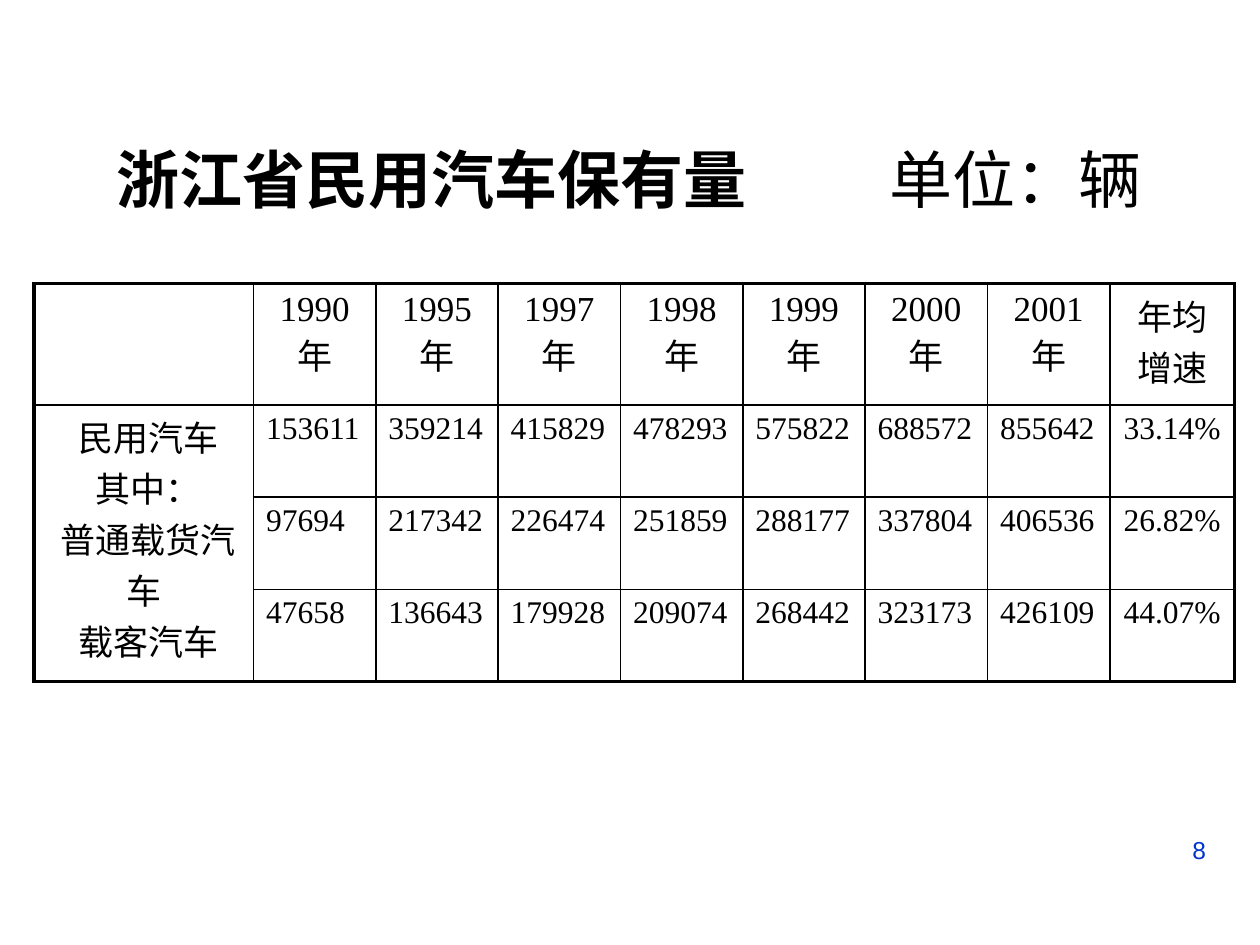
from lxml import etree
from pptx import Presentation
from pptx.dml.color import RGBColor
from pptx.enum.text import PP_ALIGN
from pptx.oxml.ns import qn
from pptx.util import Inches, Pt

BLACK = RGBColor(0, 0, 0)
WHITE = RGBColor(255, 255, 255)
BLUE = RGBColor(0x00, 0x33, 0xCC)
LEFT, CENTER, RIGHT = PP_ALIGN.LEFT, PP_ALIGN.CENTER, PP_ALIGN.RIGHT

YEARS = [1990, 1995, 1997, 1998, 1999, 2000, 2001]
LABEL = "民用汽车\n其中：\n普通载货汽车\n载客汽车"
ROWS = [
    [""] + [f"{year}年" for year in YEARS] + ["年均\n增速"],
    [LABEL, 153611, 359214, 415829, 478293, 575822, 688572, 855642, "33.14%"],
    ["", 97694, 217342, 226474, 251859, 288177, 337804, 406536, "26.82%"],
    ["", 47658, 136643, 179928, 209074, 268442, 323173, 426109, "44.07%"],
]
WIDTHS = [1.74] + [0.97] * len(YEARS) + [0.99]
HEIGHTS = [0.96, 0.73, 0.73, 0.73]


def style(font, name, size, color, bold=False):
    """Set the look of a font."""
    font.name, font.size, font.bold = name, Pt(size), bold
    font.color.rgb = color


def add_box(slide, left, top, width, height):
    """Add a text box and return its frame."""
    box = slide.shapes.add_textbox(
        Inches(left), Inches(top), Inches(width), Inches(height))
    return box.text_frame


def add_title(slide, left, top, width, height):
    """Add the bold title with its unit at a tab stop."""
    frame = add_box(slide, left, top, width, height)
    frame.word_wrap = False
    para = frame.paragraphs[0]
    para.alignment = LEFT
    tabs = etree.SubElement(para._p.get_or_add_pPr(), qn("a:tabLst"))
    etree.SubElement(tabs, qn("a:tab"), pos=str(Inches(6.13)), algn="l")
    for text, bold in (("浙江省民用汽车保有量", True), ("\t单位：辆", False)):
        run = para.add_run()
        run.text = text
        style(run.font, "Arial", 36, BLACK, bold)


def add_line(cell, side, width):
    """Add one border line to a cell."""
    props = cell._tc.get_or_add_tcPr()
    line = etree.SubElement(props, qn(f"a:ln{side}"), w=str(Pt(width)))
    fill = etree.SubElement(line, qn("a:solidFill"))
    etree.SubElement(fill, qn("a:srgbClr"), val=str(BLACK))


def fill_cell(cell, value, row, col):
    """Write a cell, with thick lines on the rim of the table."""
    last_row, last_col = len(ROWS) - 1, len(WIDTHS) - 1
    end = row + cell.span_height - 1 if cell.is_merge_origin else row
    rims = {"L": col == 0, "R": col == last_col,
            "T": row == 0, "B": end == last_row}
    for side, rim in rims.items():
        add_line(cell, side, 2 if rim else 1)
    cell.fill.solid()
    cell.fill.fore_color.rgb = WHITE
    cell.text_frame.text = str(value)
    head = row == 0 or col == 0
    for para in cell.text_frame.paragraphs:
        para.alignment = CENTER if head or col == last_col else LEFT
        if cell.is_merge_origin:
            para._p.get_or_add_pPr().set("indent", str(Inches(0.07)))
        for run in para.runs:
            style(run.font, "Times New Roman", 20 if head else 18, BLACK)


def add_grid(slide, left, top, width, height):
    """Add the table of vehicle counts."""
    table = slide.shapes.add_table(
        len(ROWS), len(WIDTHS), Inches(left), Inches(top),
        Inches(width), Inches(height)).table
    table.first_row = table.horz_banding = False
    for col, size in zip(table.columns, WIDTHS):
        col.width = Inches(size * width / sum(WIDTHS))
    for row, size in zip(table.rows, HEIGHTS):
        row.height = Inches(size * height / sum(HEIGHTS))
    table.cell(1, 0).merge(table.cell(3, 0))
    for row, values in enumerate(ROWS):
        for col, value in enumerate(values):
            fill_cell(table.cell(row, col), value, row, col)


def add_number(slide, left, top, width, height):
    """Add the page number."""
    frame = add_box(slide, left, top, width, height)
    frame.word_wrap = True
    para = frame.paragraphs[0]
    para.text = "8"
    para.alignment = RIGHT
    style(para.runs[0].font, "Arial", 14, BLUE)


def main():
    """Build and save the slide."""
    deck = Presentation()
    deck.slide_width, deck.slide_height = Inches(10), Inches(7.5)
    slide = deck.slides.add_slide(deck.slide_layouts[6])
    add_number(slide, 7.17, 6.58, 2.5, 0.52)
    add_grid(slide, 0.27, 2.25, 9.53, 3.16)
    add_title(slide, 0.83, 1.07, 8.61, 0.7)
    deck.save("out.pptx")


if __name__ == "__main__":
    main()
